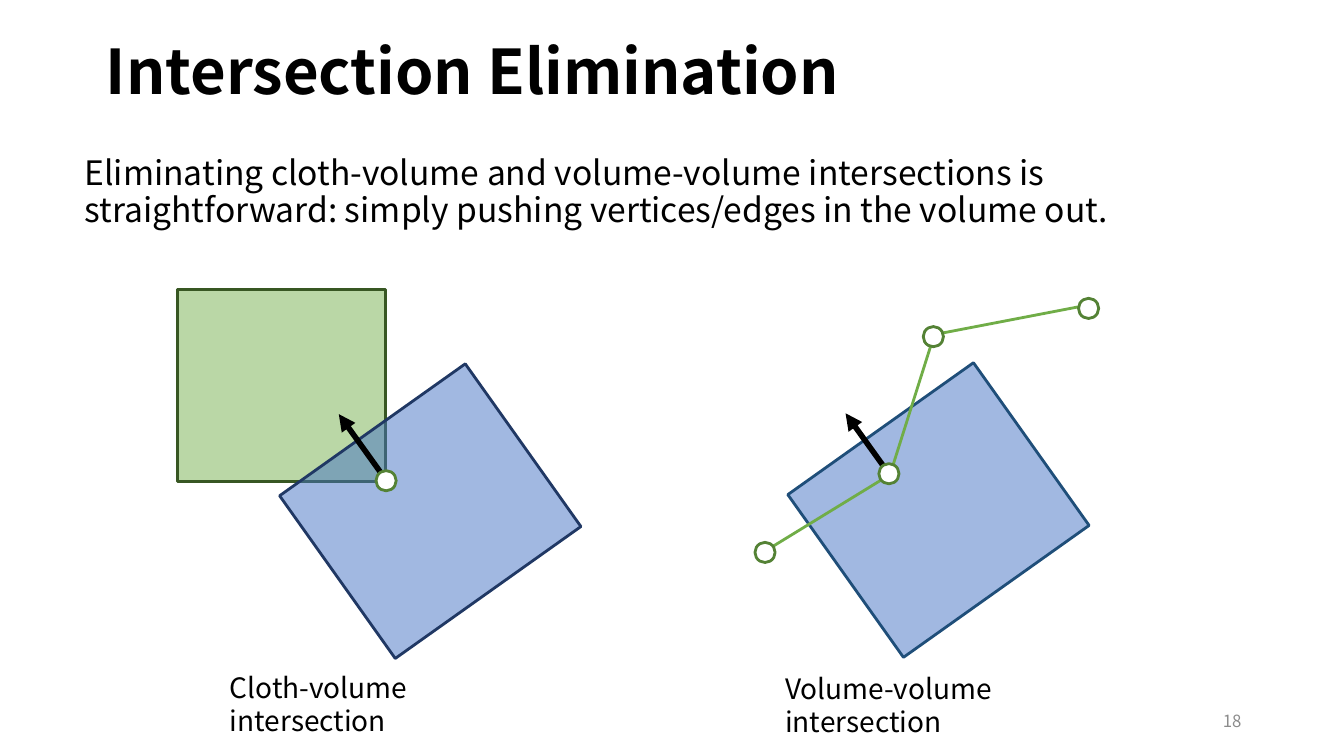
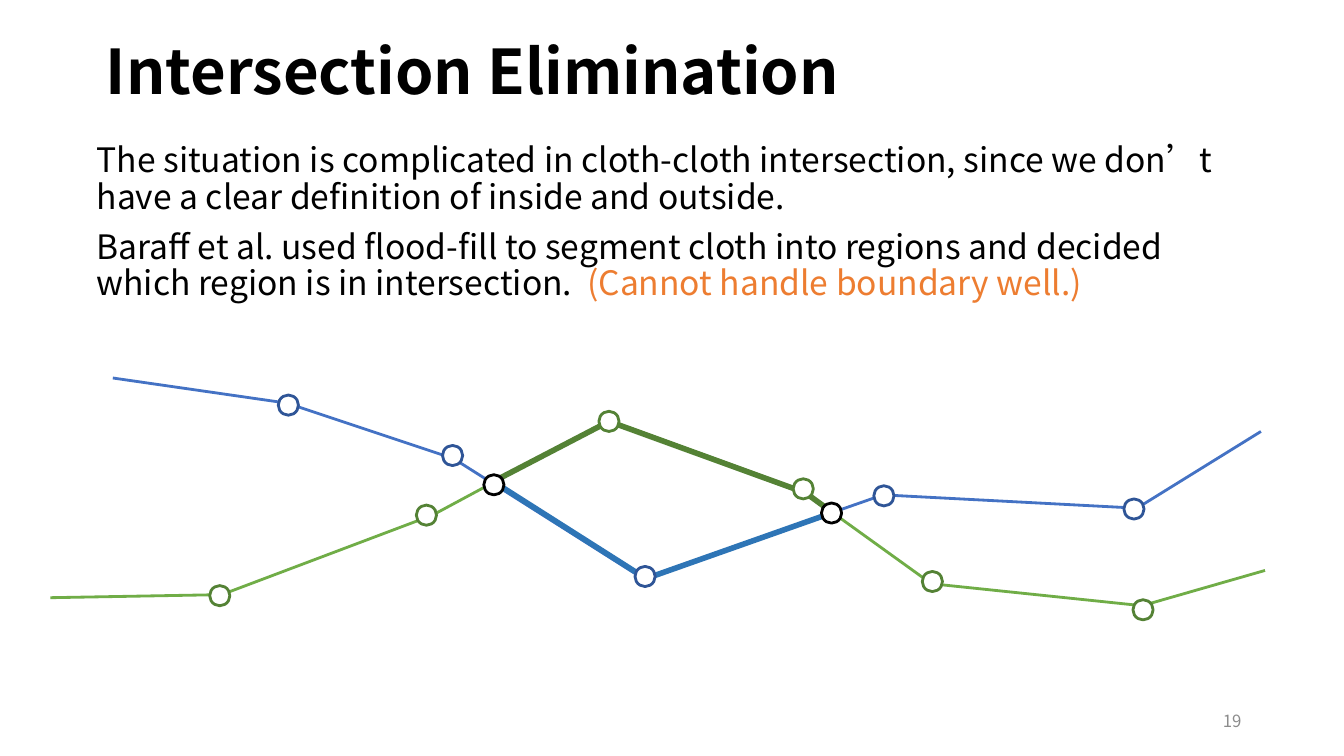
from dataclasses import dataclass

from lxml import etree
from pptx import Presentation
from pptx import util as u
from pptx.dml.color import RGBColor
from pptx.enum import shapes, text
from pptx.oxml import ns

Pt = u.Pt
Point = tuple[float, float]


@dataclass(frozen=True)
class Theme:
    font: str = "Noto Sans CJK SC"
    black: str = "000000"
    white: str = "FFFFFF"
    gray: str = "8C8C8C"
    orange: str = "ED7D31"
    green: str = "70AD47"
    green_dark: str = "548235"
    green_edge: str = "385723"
    blue: str = "4472C4"
    blue_ring: str = "2F5597"
    blue_region: str = "2E75B6"
    navy: str = "203864"
    teal: str = "1F4E79"
    title: float = 44
    body: float = 24
    caption: float = 20
    number: float = 12
    thin: float = 2
    thick: float = 4
    ring: float = 14.4


T = Theme()


@dataclass(frozen=True)
class Box:
    x: float
    y: float
    w: float
    h: float

    def lengths(self) -> tuple:
        return Pt(self.x), Pt(self.y), Pt(self.w), Pt(self.h)


@dataclass(frozen=True)
class Volume:
    box: Box
    fill: str
    alpha: int
    edge: str
    rotation: float = 0


@dataclass(frozen=True)
class Cloth:
    points: list[Point]
    color: str
    width: float = T.thin


@dataclass(frozen=True)
class Vertices:
    centers: list[Point]
    color: str


@dataclass(frozen=True)
class Run:
    text: str
    color: str = T.black


TITLE = Box(68.4, 1.4, 828, 104.4)
NUMBER = Box(678, 500.4, 216, 28.8)


# Text
def write(tf, paragraphs: list[list[Run]], *, size: float, bold: bool = False,
          align=text.PP_ALIGN.LEFT, anchor=text.MSO_ANCHOR.MIDDLE,
          spacing: float = 1.0, gap: float = 0) -> None:
    tf.word_wrap = True
    tf.auto_size = text.MSO_AUTO_SIZE.NONE
    tf.vertical_anchor = anchor
    for i, runs in enumerate(paragraphs):
        p = tf.add_paragraph() if i else tf.paragraphs[0]
        p.alignment, p.line_spacing = align, spacing
        p.space_before = Pt(gap if i else 0)
        for run in runs:
            r = p.add_run()
            r.text = run.text
            r.font.name, r.font.size, r.font.bold = T.font, Pt(size), bold
            r.font.color.rgb = RGBColor.from_string(run.color)
            ea = etree.SubElement(r.font._element, ns.qn("a:ea"))
            ea.set("typeface", T.font)


def add_text(s, box: Box, paragraphs: list[list[Run]], **fmt) -> None:
    write(s.shapes.add_textbox(*box.lengths()).text_frame, paragraphs, **fmt)


# Drawing
def set_line(sp, color: str, width: float) -> None:
    sp.line.color.rgb = RGBColor.from_string(color)
    sp.line.width = Pt(width)


def add_shape(s, kind, box: Box, fill: str, edge: str):
    sp = s.shapes.add_shape(kind, *box.lengths())
    sp.shadow.inherit = False
    sp.fill.solid()
    sp.fill.fore_color.rgb = RGBColor.from_string(fill)
    set_line(sp, edge, T.thin)
    return sp


def add_volume(s, volume: Volume) -> None:
    sp = add_shape(s, shapes.MSO_SHAPE.RECTANGLE, volume.box, volume.fill, volume.edge)
    sp.rotation = volume.rotation
    color = sp.fill._xPr.find(ns.qn("a:solidFill"))[0]
    etree.SubElement(color, ns.qn("a:alpha")).set("val", str(volume.alpha * 1000))


def add_cloth(s, cloth: Cloth) -> None:
    points = [(Pt(x), Pt(y)) for x, y in cloth.points]
    builder = s.shapes.build_freeform(*points[0])
    builder.add_line_segments(points[1:], close=False)
    sp = builder.convert_to_shape()
    sp.shadow.inherit = False
    sp.fill.background()
    set_line(sp, cloth.color, cloth.width)


def add_vertices(s, vertices: Vertices) -> None:
    d = T.ring
    for x, y in vertices.centers:
        add_shape(s, shapes.MSO_SHAPE.OVAL, Box(x - d / 2, y - d / 2, d, d),
                  T.white, vertices.color)


def add_push_arrow(s, start: Point) -> None:
    x, y = start
    sp = s.shapes.add_connector(shapes.MSO_CONNECTOR.STRAIGHT,
                                Pt(x), Pt(y), Pt(x - 31), Pt(y - 43.2))
    set_line(sp, T.black, T.thick)
    etree.SubElement(sp.line._get_or_add_ln(), ns.qn("a:tailEnd")).set("type", "triangle")
    etree.SubElement(sp._element.spPr, ns.qn("a:effectLst"))


# Slide frame
def add_slide(prs, number: int):
    s = prs.slides.add_slide(prs.slide_layouts[5])
    title = s.shapes.title
    title.left, title.top, title.width, title.height = TITLE.lengths()
    write(title.text_frame, [[Run("Intersection Elimination")]],
          size=T.title, bold=True, spacing=0.9)
    add_text(s, NUMBER, [[Run(str(number), T.gray)]],
             size=T.number, align=text.PP_ALIGN.RIGHT)
    return s


def volume_slide(prs) -> None:
    s = add_slide(prs, 18)
    tilt = 324.6

    # Cloth-volume case
    add_volume(s, Volume(Box(126.7, 206.6, 149, 137.5), T.green, 48, T.green_edge))
    add_volume(s, Volume(Box(226, 293.8, 162.7, 142.6), T.blue, 50, T.navy, tilt))
    add_push_arrow(s, (273, 339))

    # Volume-volume case
    add_volume(s, Volume(Box(589, 293, 162.7, 142.6), T.blue, 50, T.teal, tilt))
    add_push_arrow(s, (635, 338.4))
    add_cloth(s, Cloth([(775.4, 218.2), (667.4, 239), (635.8, 339), (545, 394.6)], T.green))
    add_vertices(s, Vertices([(275.8, 343.4), (546.5, 394.6), (635, 338.4),
                              (777.6, 220.3), (666.7, 240.5)], T.green_dark))

    # Captions and statement
    for label, box in (("Cloth-volume intersection", Box(157, 475.2, 222.5, 31.7)),
                       ("Volume-volume intersection", Box(553.7, 475.9, 243.4, 31.7))):
        add_text(s, box, [[Run(label)]], size=T.caption, anchor=text.MSO_ANCHOR.TOP)
    add_text(s, Box(53.3, 79.2, 853.2, 117.4), [[Run(
        "Eliminating cloth-volume and volume-volume intersections is straightforward: "
        "simply pushing vertices/edges in the volume out.")]], size=T.body, spacing=0.9)


def cloth_slide(prs) -> None:
    s = add_slide(prs, 19)
    add_text(s, Box(62, 102, 839.5, 115), [
        [Run("The situation is complicated in cloth-cloth intersection, since we don’t "
             "have a clear definition of inside and outside.")],
        [Run("Baraff et al. used flood-fill to segment cloth into regions and decided "
             "which region is in intersection.  "),
         Run("(Cannot handle boundary well.)", T.orange)],
    ], size=T.body, spacing=0.9, gap=10)

    # Two cloths and their outer vertices
    cloths = [
        Cloth([(36, 427), (158.4, 424.8), (309, 368), (435, 300.2), (573, 350.6),
               (665.3, 417), (815.8, 432.7), (903.6, 407.5)], T.green),
        Cloth([(80.6, 270), (205.2, 288), (324, 327.6), (459.4, 413.3),
               (630.7, 353.5), (812.2, 363), (900.7, 308.2)], T.blue),
    ]
    outer = [
        Vertices([(157, 425.5), (304.6, 368), (666, 415.4), (816.5, 435.6)], T.green_dark),
        Vertices([(206, 289.4), (323.3, 325.4), (631.4, 354.2), (810, 363.6)], T.blue_ring),
    ]
    # Intersecting regions, their vertices and the crossings
    regions = [
        Cloth([(352, 344.2), (435, 301), (575.3, 352), (596.2, 367.2)],
              T.green_dark, T.thick),
        Cloth([(351.4, 343.4), (461.5, 413.3), (594, 366.5)], T.blue_region, T.thick),
    ]
    inner = [
        Vertices([(573.8, 349.2), (435, 301)], T.green_dark),
        Vertices([(460.8, 411.8)], T.blue_ring),
        Vertices([(594, 366.5), (352.8, 346.3)], T.black),
    ]
    for lines, rings in ((cloths, outer), (regions, inner)):
        for cloth in lines:
            add_cloth(s, cloth)
        for vertices in rings:
            add_vertices(s, vertices)


def main() -> None:
    prs = Presentation()
    prs.slide_width, prs.slide_height = Pt(960), Pt(540)
    volume_slide(prs)
    cloth_slide(prs)
    prs.save("out.pptx")


if __name__ == "__main__":
    main()
